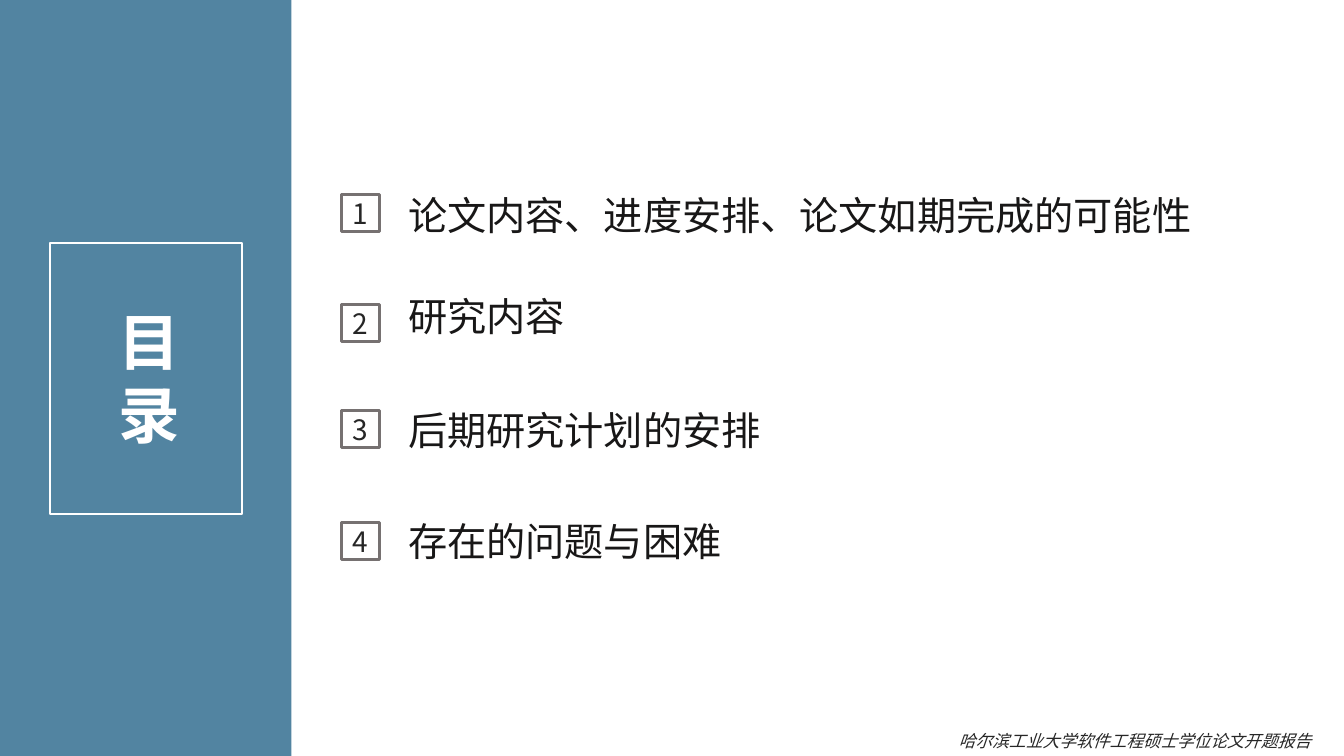
from pptx import Presentation
from pptx.dml.color import RGBColor
from pptx.enum.shapes import MSO_SHAPE as Preset
from pptx.enum.text import MSO_ANCHOR as Anchor, PP_ALIGN as Align
from pptx.oxml import parse_xml
from pptx.oxml.ns import nsdecls
from pptx.util import Inches, Pt

WIDTH, HEIGHT = Inches(13.33), Inches(7.5)
SANS = "Noto Sans CJK SC"
TITLE = dict(name=SANS, size=Pt(44), bold=True, color="FFFFFF")
TOPIC = dict(name=SANS, size=Pt(28), color="181717")
NUMBER = dict(name=SANS, size=Pt(20), color="262626")
FOOTER = dict(name="Calibri", size=Pt(12), italic=True, color="262626")

# Topic, text width, text top and number top, in percent of the slide
TOPICS = [
    ("论文内容、进度安排、论文如期完成的可能性", 61.97, 24.67, 25.73),
    ("研究内容", 25.43, 38, 40.27),
    ("后期研究计划的安排", 49.21, 53.07, 54.27),
    ("存在的问题与困难", 30.08, 67.73, 69.07),
]


def color(hex_value):
    return RGBColor.from_string(hex_value)


def place(left, top, width, height):
    """Turn percentages of the slide into lengths."""
    return [round(share * side / 100) for share, side in
            zip((left, top, width, height), (WIDTH, HEIGHT) * 2)]


def write(shape, text, style, align=Align.LEFT, anchor=Anchor.TOP):
    frame = shape.text_frame
    frame.word_wrap = True
    frame.vertical_anchor = anchor
    paragraph = frame.paragraphs[0]
    paragraph.alignment = align
    run = paragraph.add_run()
    run.text = text
    for key, value in style.items():
        if key == "color":
            run.font.color.rgb = color(value)
        else:
            setattr(run.font, key, value)
    # East Asian characters take their typeface from a:ea
    run.font._element.append(
        parse_xml(f'<a:ea {nsdecls("a")} typeface="{style["name"]}"/>'))


def add_text(slide, box, text, style):
    write(slide.shapes.add_textbox(*place(*box)), text, style)


def add_rectangle(slide, box, fill=None, line=None, weight=0):
    shape = slide.shapes.add_shape(Preset.RECTANGLE, *place(*box))
    shape.shadow.inherit = False
    if fill:
        shape.fill.solid()
        shape.fill.fore_color.rgb = color(fill)
    else:
        shape.fill.background()
    if line:
        shape.line.color.rgb = color(line)
        shape.line.width = Pt(weight)
    else:
        shape.line.fill.background()
    return shape


def add_title(slide, box, text):
    title = slide.shapes.title
    title.left, title.top, title.width, title.height = place(*box)
    write(title, text, TITLE)
    # Bring the title in front of the side panel
    slide.shapes._spTree.append(title._element)


def add_number(slide, number, top):
    square = add_rectangle(slide, (25.43, top, 2.78, 4.93), "FFFFFF", "767171", 2.25)
    frame = square.text_frame
    frame.margin_left = frame.margin_right = 0
    write(square, str(number), NUMBER, Align.CENTER, Anchor.MIDDLE)


def main():
    presentation = Presentation()
    presentation.slide_width, presentation.slide_height = WIDTH, HEIGHT
    slide = presentation.slides.add_slide(presentation.slide_layouts[5])
    add_rectangle(slide, (0, 0, 21.68, 100), "5284A1")
    add_rectangle(slide, (3.75, 32.13, 14.25, 35.87), line="FFFFFF", weight=1.5)
    add_title(slide, (8.03, 39.47, 5.63, 21.07), "目录")
    add_text(slide, (70.59, 96, 29.41, 4), "哈尔滨工业大学软件工程硕士学位论文开题报告", FOOTER)
    for number, (topic, width, text_top, number_top) in enumerate(TOPICS, 1):
        add_text(slide, (29.63, text_top, width, 8.13), topic, TOPIC)
        add_number(slide, number, number_top)
    presentation.save("out.pptx")


if __name__ == "__main__":
    main()
